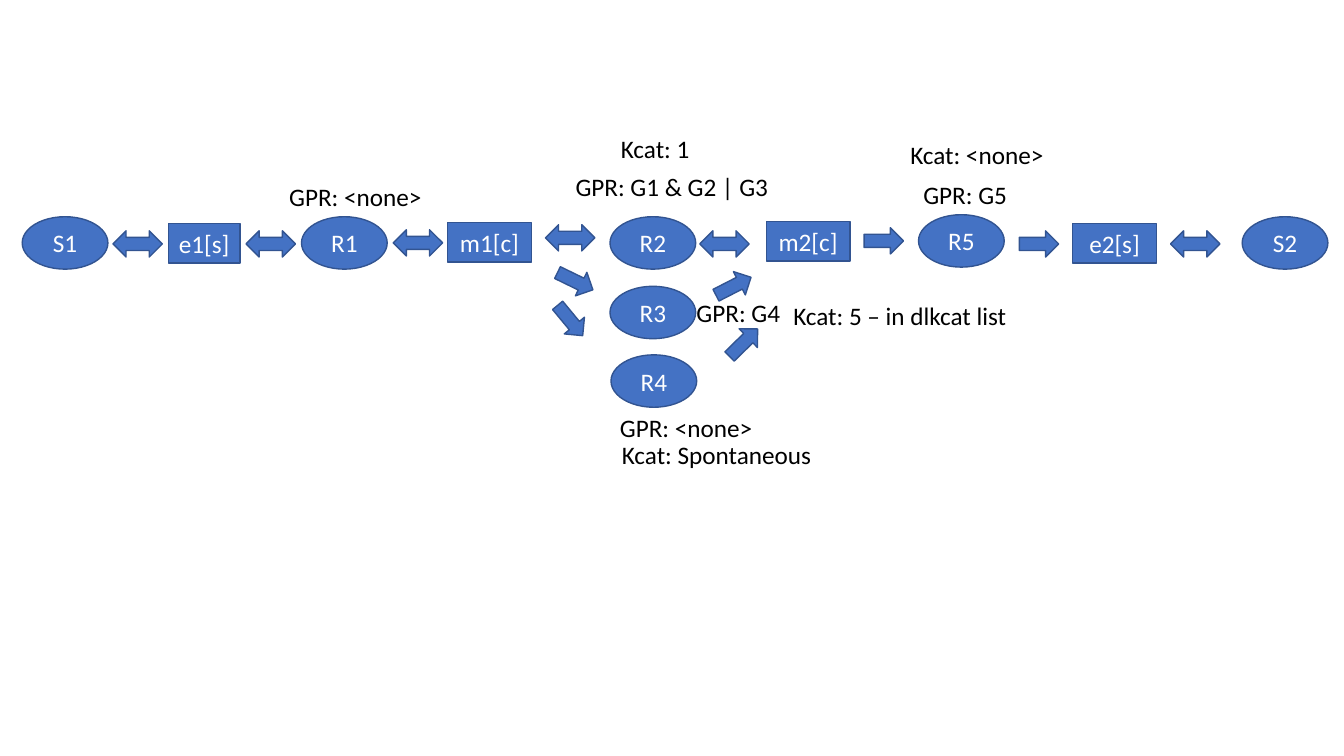
from pptx import Presentation
from pptx.dml.color import RGBColor
from pptx.enum.shapes import MSO_SHAPE as Geo
from pptx.enum.text import MSO_ANCHOR as Anchor, MSO_AUTO_SIZE as Fit, PP_ALIGN as Align
from pptx.util import Inches, Pt

BLUE = RGBColor(0x44, 0x72, 0xC4)
NAVY = RGBColor(0x32, 0x54, 0x91)
WHITE = RGBColor(0xFF, 0xFF, 0xFF)
BLACK = RGBColor(0, 0, 0)

STEPS = [
    ("S1", 0.22, 2.15), ("R1", 2.99, 2.15), ("R2", 6.05, 2.15),
    ("R3", 6.05, 2.84), ("R4", 6.06, 3.52), ("R5", 9.11, 2.13),
    ("S2", 12.32, 2.15),
]
POOLS = [
    ("e1[s]", 1.67, 2.22, 0.71), ("m1[c]", 4.44, 2.21, 0.83),
    ("m2[c]", 7.6, 2.2, 0.83), ("e2[s]", 10.64, 2.22, 0.83),
]
TWO_WAY = [
    (1.12, 2.29), (2.44, 2.29), (3.9, 2.28),
    (5.41, 2.23), (6.94, 2.29), (11.61, 2.29),
]
ONE_WAY = [
    (5.51, 2.66, 26), (5.46, 3.05, 50.4), (7.08, 2.71, 332.9),
    (7.18, 3.27, 315.6), (8.57, 2.26, 0), (10.11, 2.29, 0),
]
LABELS = [
    ("GPR: <none>", 2.77, 1.75, 1.53),
    ("GPR: G1 & G2 | G3", 5.61, 1.65, 2.19),
    ("Kcat: 1", 6.06, 1.27, 0.89),
    ("GPR: G4", 6.81, 2.9, 1.04),
    ("Kcat: 5 – in dlkcat list", 7.77, 2.93, 2.34),
    ("GPR: G5", 9.06, 1.73, 1.04),
    ("Kcat: <none>", 8.93, 1.33, 1.54),
    ("GPR: <none>", 6.05, 4.04, 1.53),
    ("Kcat: Spontaneous", 6.07, 4.31, 2.1),
]


class Pathway:
    font = "Calibri"
    size = Pt(18)

    def __init__(self, slide):
        self.slide = slide

    def style(self, frame, text, color, align):
        frame.text = text
        frame.word_wrap = False
        para = frame.paragraphs[0]
        para.alignment = align
        font = para.runs[0].font
        font.name = self.font
        font.size = self.size
        font.color.rgb = color

    def shape(self, geo, x, y, w, h):
        shape = self.slide.shapes.add_shape(geo, Inches(x), Inches(y), Inches(w), Inches(h))
        shape.shadow.inherit = False
        shape.fill.solid()
        shape.fill.fore_color.rgb = BLUE
        shape.line.color.rgb = NAVY
        shape.line.width = Pt(1)
        return shape

    def node(self, geo, text, x, y, w, h):
        frame = self.shape(geo, x, y, w, h).text_frame
        frame.vertical_anchor = Anchor.MIDDLE
        self.style(frame, text, WHITE, Align.CENTER)

    def arrow(self, geo, x, y, w, turn=0):
        self.shape(geo, x, y, w, 0.26).rotation = turn

    def label(self, text, x, y, w):
        box = self.slide.shapes.add_textbox(Inches(x), Inches(y), Inches(w), Inches(0.4))
        self.style(box.text_frame, text, BLACK, Align.LEFT)
        box.text_frame.auto_size = Fit.SHAPE_TO_FIT_TEXT


def main():
    deck = Presentation()
    deck.slide_width = Inches(13.33)
    deck.slide_height = Inches(7.5)
    chain = Pathway(deck.slides.add_slide(deck.slide_layouts[6]))
    for text, x, y in STEPS:
        chain.node(Geo.OVAL, text, x, y, 0.85, 0.52)
    for text, x, y, w in POOLS:
        chain.node(Geo.RECTANGLE, text, x, y, w, 0.39)
    for x, y in TWO_WAY:
        chain.arrow(Geo.LEFT_RIGHT_ARROW, x, y, 0.49)
    for x, y, turn in ONE_WAY:
        chain.arrow(Geo.RIGHT_ARROW, x, y, 0.39, turn)
    for text, x, y, w in LABELS:
        chain.label(text, x, y, w)
    deck.save("out.pptx")


if __name__ == "__main__":
    main()
